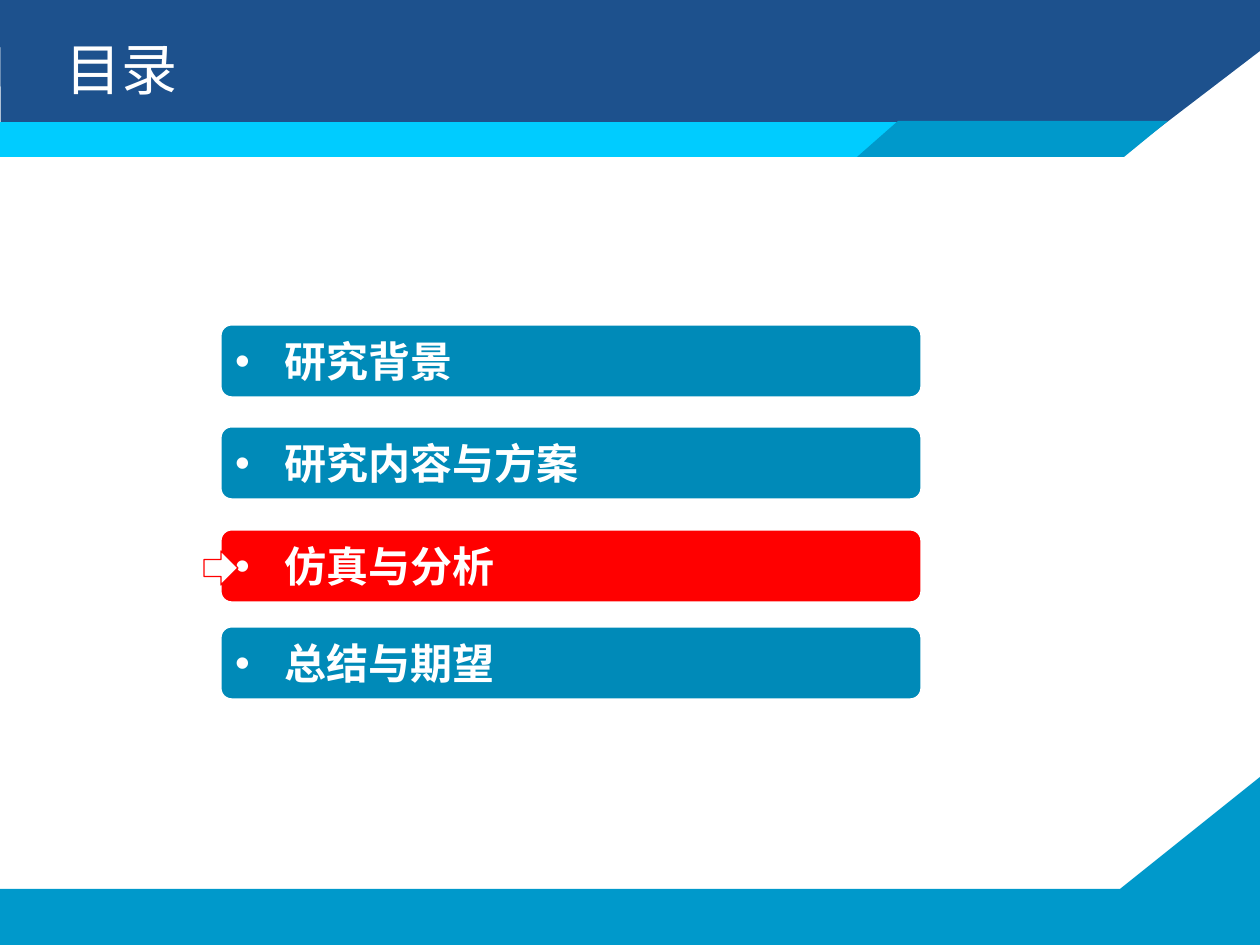
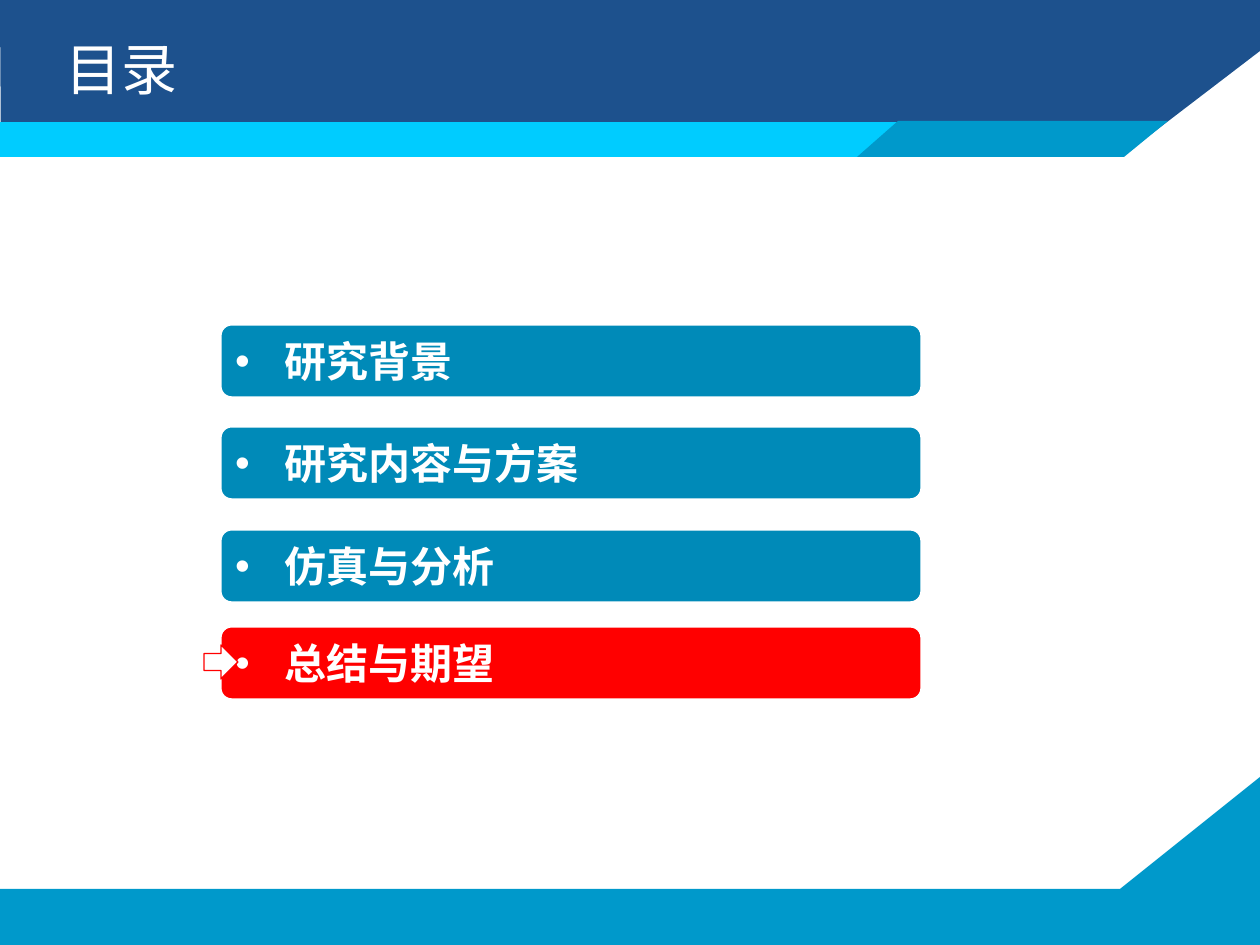
from lxml.etree import SubElement
from pptx import Presentation
from pptx.dml.color import RGBColor
from pptx.enum.shapes import MSO_SHAPE
from pptx.enum.text import MSO_ANCHOR, PP_ALIGN
from pptx.oxml.ns import qn
from pptx.util import Pt

FONT = "Noto Sans CJK SC"
WHITE, RED = "FFFFFF", "FF0000"
NAVY, CYAN, BLUE, TEAL = "1D518D", "00CCFF", "0099CB", "008AB8"
PX_PER_INCH = 126
WIDTH, HEIGHT = 1260, 945


def px(length):
    return round(length * 914400 / PX_PER_INCH)


def paint(fill, colour):
    fill.solid()
    fill.fore_color.rgb = RGBColor.from_string(colour)


deck = Presentation()
deck.slide_width, deck.slide_height = px(WIDTH), px(HEIGHT)
layout = deck.slide_layouts[5]
pages = [deck.slides.add_slide(layout) for _ in range(2)]

# Shared bands: drawn once, then moved to the layout behind every slide
bands = [
    (BLUE, [(0, 889), (1120, 889), (WIDTH, 777), (WIDTH, HEIGHT), (0, HEIGHT)]),
    (NAVY, [(0, 0), (WIDTH, 0), (WIDTH, 51), (1124, 155), (1, 156)]),
    (CYAN, [(0, 122), (1063, 122), (1063, 157), (0, 157)]),
    (BLUE, [(857, 157), (1124, 157), (1168, 121), (898, 121)]),
]
for number, (colour, points) in enumerate(bands):
    builder = pages[0].shapes.build_freeform(*points[0], scale=px(1000) / 1000)
    builder.add_line_segments(points[1:], close=True)
    band = builder.convert_to_shape()
    band.name = f"Band {number + 1}"
    band.shadow.inherit = False
    paint(band.fill, colour)
    band.line.fill.background()
    band._element.nvSpPr.cNvPr.set("id", str(100 + number))
    layout.shapes._spTree.insert(2 + number, band._element)

# Agenda entries with their tops; each page highlights one of them
entries = [("研究背景", 323), ("研究内容与方案", 425), ("仿真与分析", 528), ("总结与期望", 625)]
highlights = [(2, 551), (3, 645)]

for page, (current, arrow_top) in zip(pages, highlights):
    # Title
    title = page.shapes.title
    title.left, title.top, title.width, title.height = px(53), px(21), px(935), px(95)
    title.text_frame.text = "目录"
    texts = [(title, 32, False)]

    # Agenda bars
    for index, (entry, top) in enumerate(entries):
        bar = page.shapes.add_shape(
            MSO_SHAPE.ROUNDED_RECTANGLE, px(219), px(top), px(704), px(76))
        bar.adjustments[0] = 0.167
        bar.shadow.inherit = False
        paint(bar.fill, RED if index == current else TEAL)
        paint(bar.line.fill, WHITE)
        bar.line.width = Pt(3)
        bar.text_frame.text = entry
        properties = bar.text_frame.paragraphs[0]._p.get_or_add_pPr()
        properties.set("marL", str(px(49)))
        properties.set("indent", str(-px(49)))
        bullet_colour = SubElement(properties, qn("a:buClr"))
        SubElement(bullet_colour, qn("a:srgbClr"), val=WHITE)
        SubElement(properties, qn("a:buFont"), typeface="Arial")
        SubElement(properties, qn("a:buChar"), char="•")
        texts.append((bar, 24, True))

    # Text style
    for box, size, bold in texts:
        box.text_frame.vertical_anchor = MSO_ANCHOR.MIDDLE
        para = box.text_frame.paragraphs[0]
        para.alignment = PP_ALIGN.LEFT
        span = para.runs[0]
        span.font.size, span.font.bold, span.font.name = Pt(size), bold, FONT
        paint(span.font.fill, WHITE)
        SubElement(span._r.get_or_add_rPr(), qn("a:ea"), typeface=FONT)

    # Arrow at the current entry
    arrow = page.shapes.add_shape(
        MSO_SHAPE.RIGHT_ARROW, px(204), px(arrow_top), px(34), px(34))
    arrow.shadow.inherit = False
    paint(arrow.fill, WHITE)
    paint(arrow.line.fill, RED)
    arrow.line.width = Pt(0.75)

deck.save("out.pptx")
